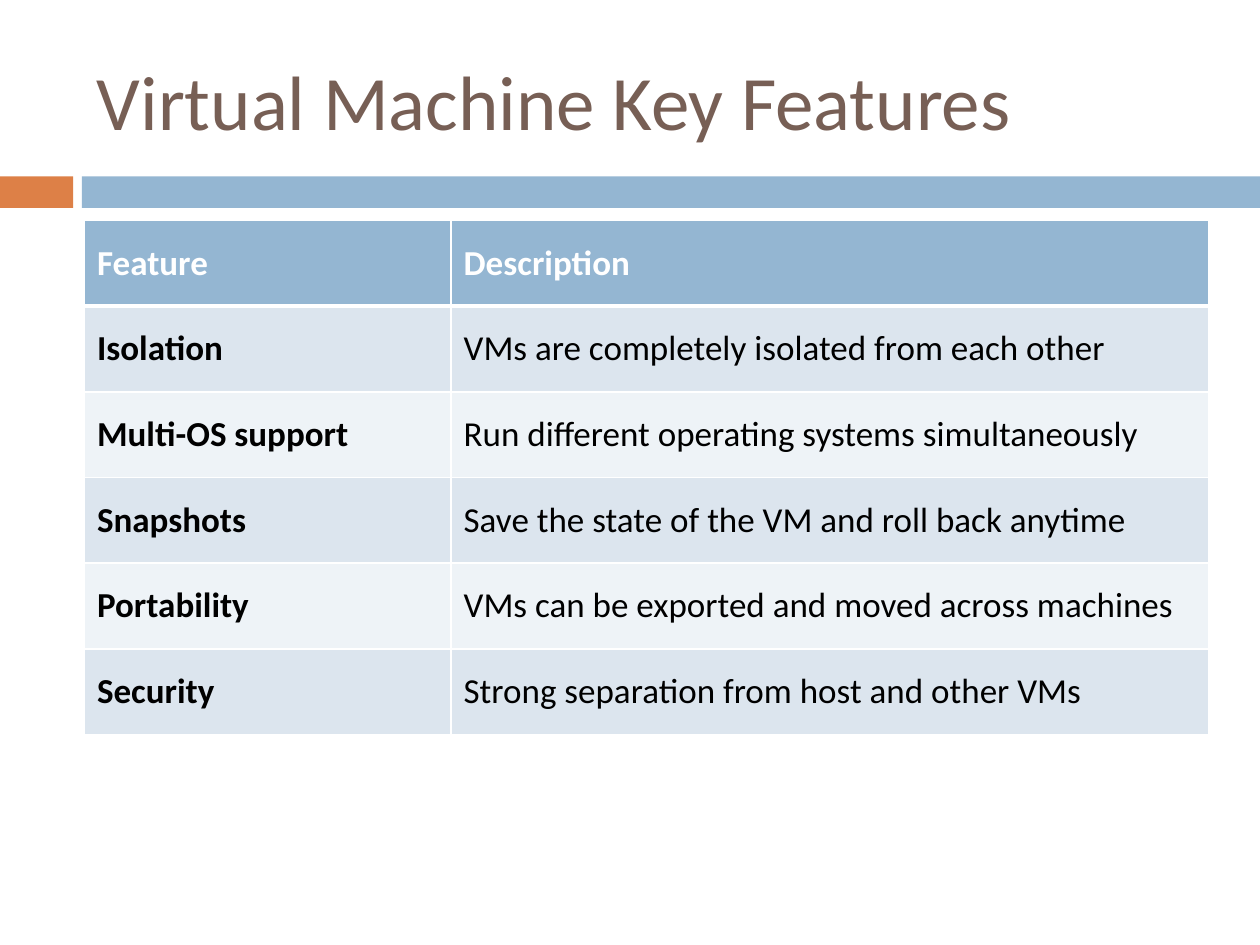
from pptx import Presentation
from pptx.dml.color import RGBColor
from pptx.enum.shapes import MSO_SHAPE
from pptx.enum.text import MSO_ANCHOR
from pptx.util import Inches, Pt
from lxml.etree import SubElement
from pptx.oxml.ns import qn

HUES = {"blue": "94B6D2", "rust": "DD8047", "brown": "775F55",
        "white": "FFFFFF", "black": "000000", "dark": "DCE5EE", "pale": "EEF3F7"}
ROWS = [
    ("Feature", "Description"),
    ("Isolation", "VMs are completely isolated from each other"),
    ("Multi-OS support", "Run different operating systems simultaneously"),
    ("Snapshots", "Save the state of the VM and roll back anytime"),
    ("Portability", "VMs can be exported and moved across machines"),
    ("Security", "Strong separation from host and other VMs"),
]
LEFT, WIDE, HIGH = 0.67, 8.92, 0.68
COLS = (2.91, 6.01)


def write(frame, text, size, hue, bold=False):
    frame.word_wrap = True
    run = frame.paragraphs[0].add_run()
    run.text = text
    run.font.name = "Calibri"
    run.font.size = Pt(size)
    run.font.bold = bold
    run.font.color.rgb = RGBColor.from_string(HUES[hue])


def edge(cell, side, width):
    line = SubElement(cell._tc.get_or_add_tcPr(), qn("a:ln" + side), w=str(Pt(width)))
    fill = SubElement(line, qn("a:solidFill"))
    SubElement(fill, qn("a:srgbClr"), val=HUES["white"])


deck = Presentation()
deck.slide_width, deck.slide_height = Inches(10), Inches(7.5)
slide = deck.slides.add_slide(deck.slide_layouts[6])

# Bands below the title
for left, wide, hue in ((0, 0.58, "rust"), (0.65, 9.35, "blue")):
    band = slide.shapes.add_shape(MSO_SHAPE.RECTANGLE, Inches(left), Inches(1.4),
                                  Inches(wide), Inches(0.25))
    band.shadow.inherit = False
    band.fill.solid()
    band.fill.fore_color.rgb = RGBColor.from_string(HUES[hue])
    band.line.fill.background()

# Title
title = slide.shapes.add_textbox(Inches(LEFT), Inches(0.25), Inches(WIDE), Inches(1.08))
title.text_frame.vertical_anchor = MSO_ANCHOR.MIDDLE
write(title.text_frame, "Virtual Machine Key Features", 44, "brown")

# Feature table
grid = slide.shapes.add_table(len(ROWS), len(COLS), Inches(LEFT), Inches(1.75),
                              Inches(WIDE), Inches(HIGH * len(ROWS))).table
for col, wide in zip(grid.columns, COLS):
    col.width = Inches(wide)
for r, row in enumerate(ROWS):
    grid.rows[r].height = Inches(HIGH)
    head = r == 0
    back = "blue" if head else ("pale", "dark")[r % 2]
    for c, text in enumerate(row):
        cell = grid.cell(r, c)
        cell.vertical_anchor = MSO_ANCHOR.MIDDLE
        for side in "LRTB":
            thick = side == "B" and head or side == "T" and r == 1
            edge(cell, side, 3 if thick else 1)
        cell.fill.solid()
        cell.fill.fore_color.rgb = RGBColor.from_string(HUES[back])
        write(cell.text_frame, text, 20, "white" if head else "black", head or c == 0)

deck.save("out.pptx")
